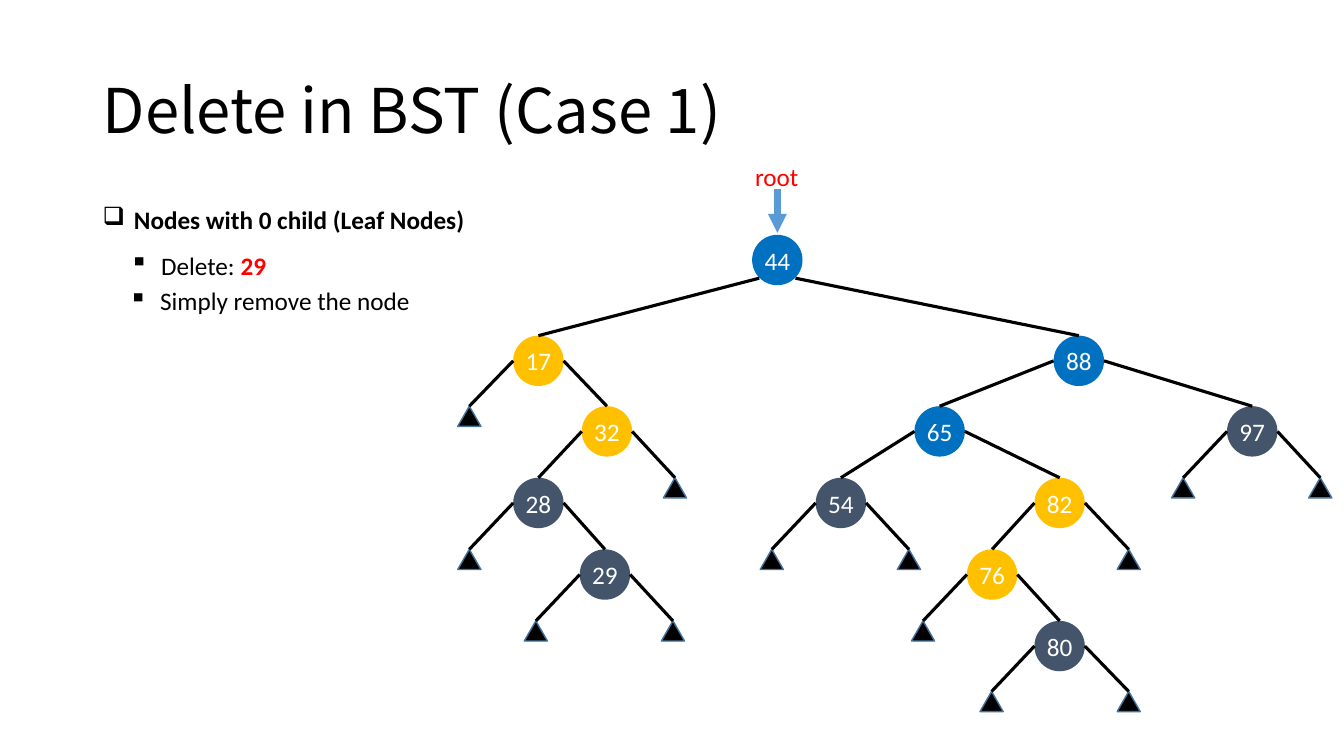
from pptx import Presentation
from pptx.dml.color import RGBColor
from pptx.enum.shapes import MSO_CONNECTOR, MSO_SHAPE
from pptx.enum.text import MSO_ANCHOR, PP_ALIGN
from pptx.oxml.ns import qn
from pptx.util import Pt
from lxml.etree import SubElement

SCALE = 9144  # EMU in one px, 100 px to the inch
INK = {"black": "000000", "white": "FFFFFF", "red": "FF0000",
       "arrow": "5B9BD5", "edge": "43739E",
       "blue": "0070C0", "gold": "FFC000", "slate": "44546A"}
NODE, LEAF_W, LEAF_H, SPREAD = 50, 23, 20, 68
TOPS = [78, 178, 248, 319, 390, 461, 531]

# value, centre x, colour, left child, right child; None is an empty leaf
TREE = (44, 317, "blue",
        (17, 80, "gold",
         None,
         (32, 148, "gold",
          (28, 80, "slate",
           None,
           (29, 146, "slate", None, None)),
          None)),
        (88, 616, "blue",
         (65, 478, "blue",
          (54, 380, "slate", None, None),
          (82, 597, "gold",
           (76, 530, "gold",
            None,
            (80, 597, "slate", None, None)),
           None)),
         (97, 788, "slate", None, None)))


def px(*nums):
    return [round(n) * SCALE for n in nums]


def color(name):
    return RGBColor.from_string(INK[name])


def write(shape, *runs, size=18, font="Calibri", ink="black", align=PP_ALIGN.LEFT,
          anchor=MSO_ANCHOR.TOP, wrap=False, space=None, mark=None, pad=None):
    """Fill a shape with one paragraph; a run is text or (text, ink, bold)."""
    frame = shape.text_frame
    frame.word_wrap, frame.vertical_anchor = wrap, anchor
    if pad is not None:
        frame.margin_left = frame.margin_right = pad
        frame.margin_top = frame.margin_bottom = pad
    para = frame.paragraphs[0]
    para.alignment = align
    if space:
        para.line_spacing = space
    if mark:
        props = para._p.get_or_add_pPr()
        props.set("marL", str(px(31)[0]))
        props.set("indent", str(px(-31)[0]))
        SubElement(props, qn("a:buChar")).set("char", mark)
    for part in runs:
        text, tint, bold = (part, ink, False) if isinstance(part, str) else part
        run = para.add_run()
        run.text = text
        run.font.size, run.font.name, run.font.bold = Pt(size), font, bold
        run.font.color.rgb = color(tint)


def label(slide, box, *runs, **fmt):
    write(slide.shapes.add_textbox(*px(*box)), *runs, **fmt)


def solid(slide, kind, box, fill, edge=None):
    shape = slide.shapes.add_shape(kind, *px(*box))
    shape.shadow.inherit = False
    shape.fill.solid()
    shape.fill.fore_color.rgb = color(fill)
    if edge:
        shape.line.color.rgb, shape.line.width = color(edge), Pt(1)
    else:
        shape.line.fill.background()
    return shape


def link(slide, start, end, ink="black", width=2.25, head=False, child=None):
    line = slide.shapes.add_connector(MSO_CONNECTOR.STRAIGHT, *px(*start, *end))
    if child is not None:
        line.end_connect(child, 0)
    line.line.color.rgb, line.line.width = color(ink), Pt(width)
    if head:
        SubElement(line.line._get_or_add_ln(), qn("a:tailEnd")).set("type", "triangle")
    SubElement(line._element.spPr, qn("a:effectLst"))


def leaf(slide, x, y):
    box = (x - LEAF_W / 2, y, LEAF_W, LEAF_H)
    return solid(slide, MSO_SHAPE.ISOSCELES_TRIANGLE, box, "black", "edge")


def branch(slide, left, top, node, level=0):
    """Draw a node with all that hangs below it and return its disc."""
    value, x, fill, *kids = node
    x, y = left + x, top + TOPS[level]
    disc = solid(slide, MSO_SHAPE.OVAL, (x - NODE / 2, y, NODE, NODE), fill)
    write(disc, str(value), ink="white", align=PP_ALIGN.CENTER,
          anchor=MSO_ANCHOR.MIDDLE, pad=0)
    reach, drop = (25, 25) if level else (18, 43)
    for side, kid in zip((-1, 1), kids):
        if kid:
            below = branch(slide, left, top, kid, level + 1)
            end = (left + kid[1], top + TOPS[level + 1])
        else:
            end = (x + side * SPREAD, top + TOPS[level + 1])
            below = leaf(slide, *end)
        link(slide, (x + side * reach, y + drop), end, child=below)
    return disc


def tree(slide, left, top):
    x = left + TREE[1]
    label(slide, (x - 32, top, 64, 40), "root", ink="red")
    link(slide, (x, top + 33), (x, top + 76), ink="arrow", width=4.5, head=True)
    branch(slide, left, top, TREE)


def points(slide, left, top):
    label(slide, (left, top, 412, 40), ("Nodes with 0 child (Leaf Nodes)", "black", True),
          mark="❑")
    label(slide, (left + 27, top + 45, 160, 40), "Delete: ", ("29", "red", True), mark="▪")
    label(slide, (left + 26, top + 80, 309, 40), "Simply remove the node", mark="▪")


def title(slide, box):
    label(slide, box, "Delete in BST (Case 1)", size=44, font="Noto Sans CJK SC",
          anchor=MSO_ANCHOR.MIDDLE, wrap=True, space=0.9)


def main():
    deck = Presentation()
    deck.slide_width, deck.slide_height = px(1333, 750)
    slide = deck.slides.add_slide(deck.slide_layouts[6])
    title(slide, (92, 40, 1150, 145))
    points(slide, 92, 198)
    tree(slide, 454, 155)
    deck.save("out.pptx")


if __name__ == "__main__":
    main()
